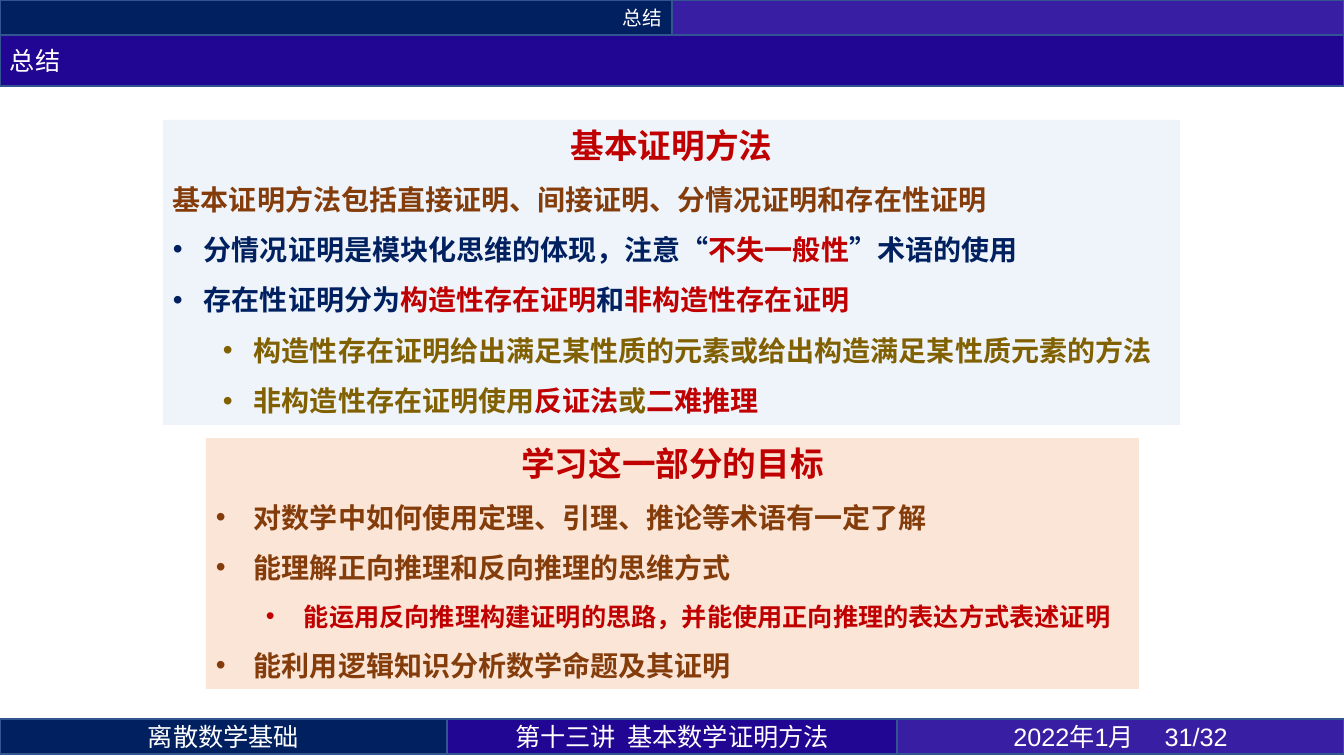
import pptx
import pptx.util
import pptx.dml.color
import pptx.enum.shapes
import pptx.enum.text
import pptx.oxml
import pptx.oxml.ns
from lxml import etree

RGBColor = pptx.dml.color.RGBColor
Align = pptx.enum.text.PP_ALIGN
Anchor = pptx.enum.text.MSO_ANCHOR
qn = pptx.oxml.ns.qn

NAVY = RGBColor(0x00, 0x20, 0x60)
INDIGO = RGBColor(0x21, 0x06, 0x94)
VIOLET = RGBColor(0x37, 0x1E, 0xA2)
BORDER = RGBColor(0x32, 0x54, 0x91)
WHITE = RGBColor(0xFF, 0xFF, 0xFF)
RED = RGBColor(0xC0, 0x00, 0x00)
BROWN = RGBColor(0x84, 0x3C, 0x0B)
OLIVE = RGBColor(0x80, 0x60, 0x00)
PALE_BLUE = RGBColor(0xDE, 0xEB, 0xF7)
PEACH = RGBColor(0xFB, 0xE5, 0xD6)
CJK = "Noto Sans CJK SC"
WIDTH, HEIGHT = 1344, 756


def px(n):
    return pptx.util.Emu(round(n * 914400 / 100.8))


def add_rect(slide, left, top, width, height, fill):
    rect = slide.shapes.add_shape(
        pptx.enum.shapes.MSO_SHAPE.RECTANGLE, px(left), px(top), px(width), px(height))
    rect.shadow.inherit = False
    rect.fill.solid()
    rect.fill.fore_color.rgb = fill
    return rect


def set_font(paragraph, size, color, bold=False, latin=CJK):
    font = paragraph.font
    font.size = pptx.util.Pt(size)
    font.bold = bold
    font.color.rgb = color
    font.name = latin
    defaults = paragraph._p.pPr.find(qn("a:defRPr"))
    etree.SubElement(defaults, qn("a:ea")).set("typeface", CJK)


def add_bar(slide, left, top, width, height, fill, text="", size=18,
            align=Align.CENTER, latin=CJK):
    bar = add_rect(slide, left, top, width, height, fill)
    bar.line.color.rgb = BORDER
    bar.line.width = pptx.util.Pt(1)
    if text:
        bar.text_frame.vertical_anchor = Anchor.MIDDLE
        label = bar.text_frame.paragraphs[0]
        label.add_run().text = text
        label.alignment = align
        set_font(label, size, WHITE, latin=latin)


def add_bullet(paragraph, level, hang):
    paragraph.level = level
    properties = paragraph._p.get_or_add_pPr()
    properties.set("marL", str(px(hang + level * 50)))
    properties.set("indent", str(-px(hang)))
    etree.SubElement(properties, qn("a:buFont")).set("typeface", "Arial")
    etree.SubElement(properties, qn("a:buChar")).set("char", "•")


def add_panel(slide, left, top, width, height, fill, hang, title, lines):
    panel = add_rect(slide, left, top, width, height, fill)
    panel.line.fill.background()
    frame = panel.text_frame
    frame.word_wrap = True
    frame.vertical_anchor = Anchor.TOP
    frame.auto_size = pptx.enum.text.MSO_AUTO_SIZE.SHAPE_TO_FIT_TEXT
    heading = frame.paragraphs[0]
    heading.add_run().text = title
    heading.alignment = Align.CENTER
    heading.space_after = pptx.util.Pt(6)
    set_font(heading, 24, RED, bold=True)
    for level, size, color, text in lines:
        line = frame.add_paragraph()
        line.alignment = Align.LEFT
        line.space_before = line.space_after = pptx.util.Pt(6)
        if level is not None:
            add_bullet(line, level, hang)
        set_font(line, size, color, bold=True)
        for index, piece in enumerate(text.split("|")):
            if piece:
                run = line.add_run()
                run.text = piece
                if index % 2:
                    run.font.color.rgb = RED
    return panel


def main():
    deck = pptx.Presentation()
    deck.slide_width, deck.slide_height = px(WIDTH), px(HEIGHT)
    slide = deck.slides.add_slide(deck.slide_layouts[6])

    half = WIDTH // 2
    add_bar(slide, 0, 0, half, 35, NAVY, "总结", 14, Align.RIGHT)
    add_bar(slide, half, 0, half, 35, VIOLET)
    add_bar(slide, 0, 719, 447, 35, NAVY, "离散数学基础")
    add_bar(slide, 447, 719, 450, 35, INDIGO, "第十三讲  基本数学证明方法")
    add_bar(slide, 897, 719, 447, 35, VIOLET, "2022年1月 \t31/32", latin="Arial")
    add_bar(slide, 0, 35, WIDTH, 51, INDIGO, "总结", align=Align.LEFT)

    methods = add_panel(slide, 163, 120, 1017, 305, PALE_BLUE, 31, "基本证明方法", [
        (None, 20, BROWN, "基本证明方法包括直接证明、间接证明、分情况证明和存在性证明"),
        (0, 20, NAVY, "分情况证明是模块化思维的体现，注意“|不失一般性|”术语的使用"),
        (0, 20, NAVY, "存在性证明分为|构造性存在证明|和|非构造性存在证明"),
        (1, 20, OLIVE, "构造性存在证明给出满足某性质的元素或给出构造满足某性质元素的方法"),
        (1, 20, OLIVE, "非构造性存在证明使用|反证法|或|二难推理"),
    ])
    tint = methods._element.spPr.find(qn("a:solidFill"))[0]
    etree.SubElement(tint, qn("a:alpha")).set("val", "50000")

    add_panel(slide, 206, 438, 933, 251, PEACH, 38, "学习这一部分的目标", [
        (0, 20, BROWN, "对数学中如何使用定理、引理、推论等术语有一定了解"),
        (0, 20, BROWN, "能理解正向推理和反向推理的思维方式"),
        (1, 18, RED, "能运用反向推理构建证明的思路，并能使用正向推理的表达方式表述证明"),
        (0, 20, BROWN, "能利用逻辑知识分析数学命题及其证明"),
    ])
    deck.save("out.pptx")


if __name__ == "__main__":
    main()
